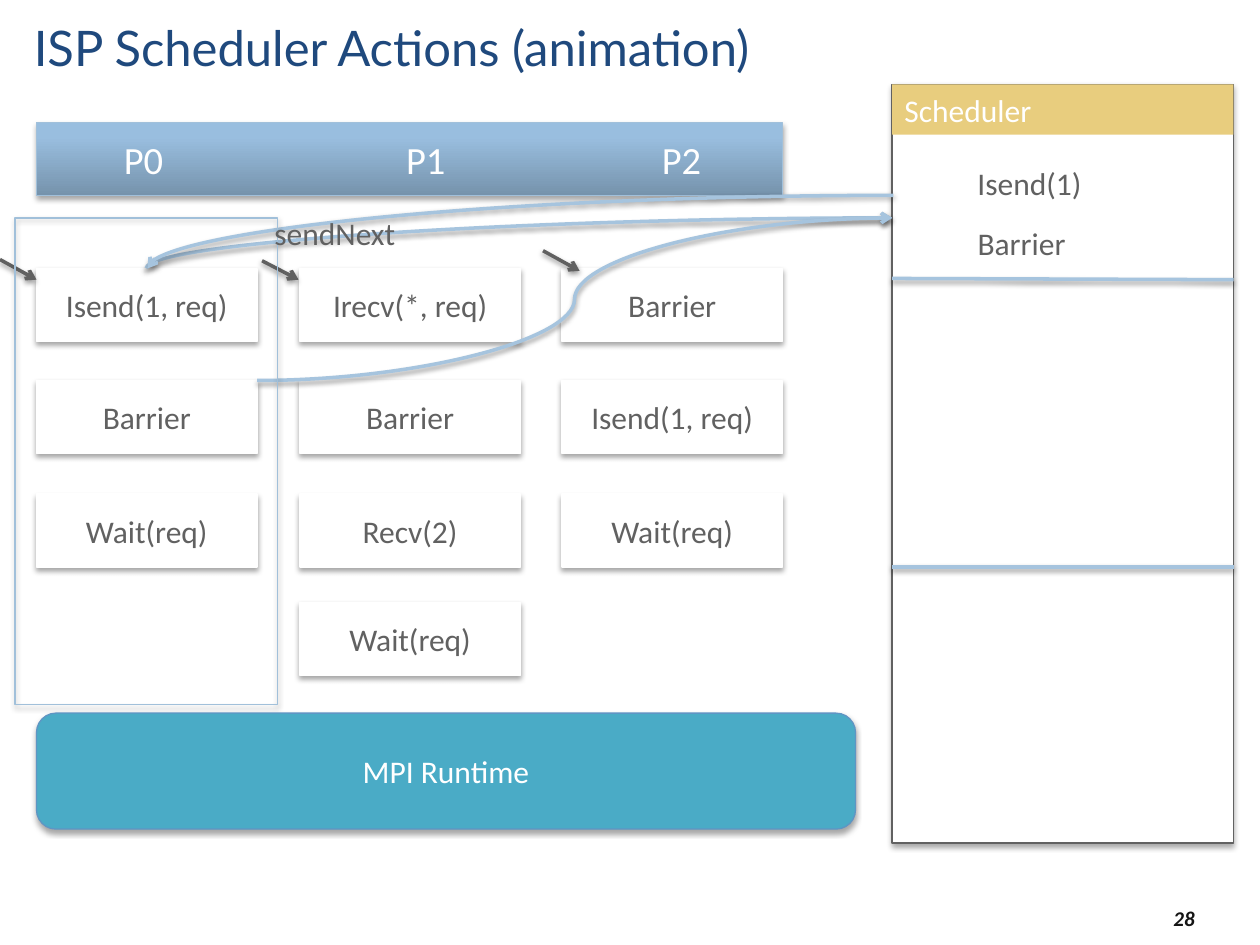
from dataclasses import dataclass
from typing import Optional

from lxml.etree import SubElement
from pptx import Presentation
from pptx.dml.color import RGBColor
from pptx.enum.shapes import MSO_CONNECTOR, MSO_SHAPE
from pptx.enum.text import MSO_ANCHOR, MSO_AUTO_SIZE, PP_ALIGN
from pptx.oxml.ns import qn
from pptx.util import Inches, Pt

GREY, WHITE, PALE_BLUE, CURVE_BLUE = "616161", "FFFFFF", "A1C0DA", "A6C4DE"


@dataclass
class Process:
    name: str
    left: float
    label_center: float
    calls: list[str]


@dataclass
class Link:
    start: tuple[float, float]
    end: tuple[float, float]
    color: str = CURVE_BLUE
    arrow: bool = True
    preset: Optional[str] = None
    rotation: int = 0


@dataclass
class Label:
    text: str
    area: tuple[float, float, float, float]
    size: int = 18
    color: str = GREY
    font: str = "Calibri"
    align: PP_ALIGN = PP_ALIGN.LEFT
    anchor: MSO_ANCHOR = MSO_ANCHOR.TOP
    wrap: bool = False
    emphasis: bool = False


PROCESSES = [
    Process("P0", 0.29, 1.14, ["Isend(1, req)", "Barrier", "Wait(req)"]),
    Process("P1", 2.38, 3.38, ["Irecv(*, req)", "Barrier", "Recv(2)", "Wait(req)"]),
    Process("P2", 4.46, 5.41, ["Barrier", "Isend(1, req)", "Wait(req)"]),
]
ROW_TOPS = [2.13, 3.02, 3.92, 4.78]

LINKS = [
    Link((4.32, 4.89), (3.92, -1.03), preset="curvedConnector2", rotation=90),
    Link((1.17, 2.13), (7.09, 1.55), preset="curvedConnector2", rotation=180),
    Link((2.04, 3.02), (7.08, 1.73), preset="curvedConnector3"),
    Link((7.08, 2.21), (9.79, 2.22), arrow=False),
    Link((7.08, 4.5), (9.79, 4.5), arrow=False),
    Link((0, 2.06), (0.29, 2.22), GREY),
    Link((2.08, 2.07), (2.37, 2.22), GREY),
    Link((4.31, 1.99), (4.6, 2.15), GREY),
]

LABELS = [
    Label("Isend(1)", (7.66, 1.25, 1.04, 0.4)),
    Label("sendNext", (2.08, 1.65, 1.17, 0.4)),
    Label("Barrier", (7.66, 1.73, 0.91, 0.4)),
    Label("ISP Scheduler Actions (animation)", (0.17, 0, 9, 0.75), 28, "1F497D",
          "Lato", anchor=MSO_ANCHOR.MIDDLE, wrap=True),
    Label("28", (8.5, 7.15, 1.08, 0.27), 12, "151515", align=PP_ALIGN.RIGHT,
          anchor=MSO_ANCHOR.MIDDLE, wrap=True, emphasis=True),
]


def rgb(value: str) -> RGBColor:
    return RGBColor.from_string(value)


def cast_shadow(effects, opacity: int, distance: float) -> None:
    shadow = SubElement(effects, qn("a:outerShdw"), blurRad=str(Pt(3.1)),
                        dist=str(Pt(distance)), dir="5400000", rotWithShape="0")
    color = SubElement(shadow, qn("a:srgbClr"), val="000000")
    SubElement(color, qn("a:alpha"), val=str(opacity * 1000))


def write(shape, text: str, size: int, color: str, font: str = "Calibri",
          align: PP_ALIGN = PP_ALIGN.CENTER,
          anchor: MSO_ANCHOR = MSO_ANCHOR.MIDDLE):
    frame = shape.text_frame
    frame.text = text
    frame.vertical_anchor = anchor
    para = frame.paragraphs[0]
    para.alignment = align
    span = para.runs[0]
    span.font.size = Pt(size)
    span.font.name = font
    span.font.color.rgb = rgb(color)
    return para


def draw_box(page, area: tuple[float, float, float, float], fill: Optional[str],
             line: Optional[str], shadow: bool = True,
             kind: MSO_SHAPE = MSO_SHAPE.RECTANGLE):
    box = page.shapes.add_shape(kind, *map(Inches, area))
    if fill:
        box.fill.solid()
        box.fill.fore_color.rgb = rgb(fill)
    else:
        box.fill.background()
    if line:
        box.line.color.rgb = rgb(line)
        box.line.width = Pt(0.75)
    else:
        box.line.fill.background()
    box.shadow.inherit = False
    if shadow:
        cast_shadow(box._element.spPr.find(qn("a:effectLst")), 35, 1.8)
    return box


def draw_header(page) -> None:
    left = 0.29
    header = draw_box(page, (left, 0.97, 5.92, 0.58), WHITE, PALE_BLUE)
    header.fill.gradient()
    header.fill.gradient_angle = 90
    for stop, (position, color) in zip(header.fill.gradient_stops,
                                       [(0, "7693AC"), (0.8, "99BEDF")]):
        stop.position = position
        stop.color.rgb = rgb(color)
    names = "".join(f"\t{process.name}" for process in PROCESSES)
    para = write(header, names, 22, WHITE, align=PP_ALIGN.LEFT)
    tabs = SubElement(para._p.get_or_add_pPr(), qn("a:tabLst"))
    for process in PROCESSES:
        offset = Inches(process.label_center - left - 0.1)
        SubElement(tabs, qn("a:tab"), pos=str(offset), algn="ctr")


def draw_process(page, process: Process) -> None:
    for top, call in zip(ROW_TOPS, process.calls):
        box = draw_box(page, (process.left, top, 1.75, 0.58), WHITE, WHITE)
        write(box, call, 18, GREY)


def draw_link(page, link: Link) -> None:
    kind = MSO_CONNECTOR.CURVE if link.preset else MSO_CONNECTOR.STRAIGHT
    connector = page.shapes.add_connector(kind, *map(Inches, link.start + link.end))
    connector.line.color.rgb = rgb(link.color)
    connector.line.width = Pt(2)
    properties = connector._element.spPr
    if link.preset:
        properties.find(qn("a:prstGeom")).set("prst", link.preset)
    if link.rotation:
        properties.find(qn("a:xfrm")).set("rot", str(link.rotation * 60000))
    if link.arrow:
        SubElement(properties.find(qn("a:ln")), qn("a:tailEnd"), type="arrow")
    cast_shadow(SubElement(properties, qn("a:effectLst")), 38, 1.6)


def draw_label(page, label: Label) -> None:
    box = page.shapes.add_textbox(*map(Inches, label.area))
    para = write(box, label.text, label.size, label.color, label.font,
                 label.align, label.anchor)
    box.text_frame.word_wrap = label.wrap
    if not label.wrap:
        box.text_frame.auto_size = MSO_AUTO_SIZE.SHAPE_TO_FIT_TEXT
    if label.emphasis:
        para.runs[0].font.bold = True
        para.runs[0].font.italic = True


def main() -> None:
    deck = Presentation()
    deck.slide_width, deck.slide_height = Inches(10), Inches(7.5)
    page = deck.slides.add_slide(deck.slide_layouts[6])

    draw_header(page)
    draw_box(page, (7.08, 0.67, 2.71, 6.02), WHITE, GREY)
    scheduler = draw_box(page, (7.08, 0.67, 2.71, 0.4), "E8CD7E", None, shadow=False)
    write(scheduler, "Scheduler", 18, WHITE, align=PP_ALIGN.LEFT, anchor=MSO_ANCHOR.TOP)
    for process in PROCESSES:
        draw_process(page, process)
    for link in LINKS:
        draw_link(page, link)
    draw_box(page, (0.12, 1.73, 2.08, 3.86), None, PALE_BLUE)
    runtime = draw_box(page, (0.29, 5.66, 6.5, 0.92), "4AABC6", "5F95C4",
                       kind=MSO_SHAPE.ROUNDED_RECTANGLE)
    write(runtime, "MPI Runtime", 18, WHITE)
    for label in LABELS:
        draw_label(page, label)

    deck.save("out.pptx")


if __name__ == "__main__":
    main()
